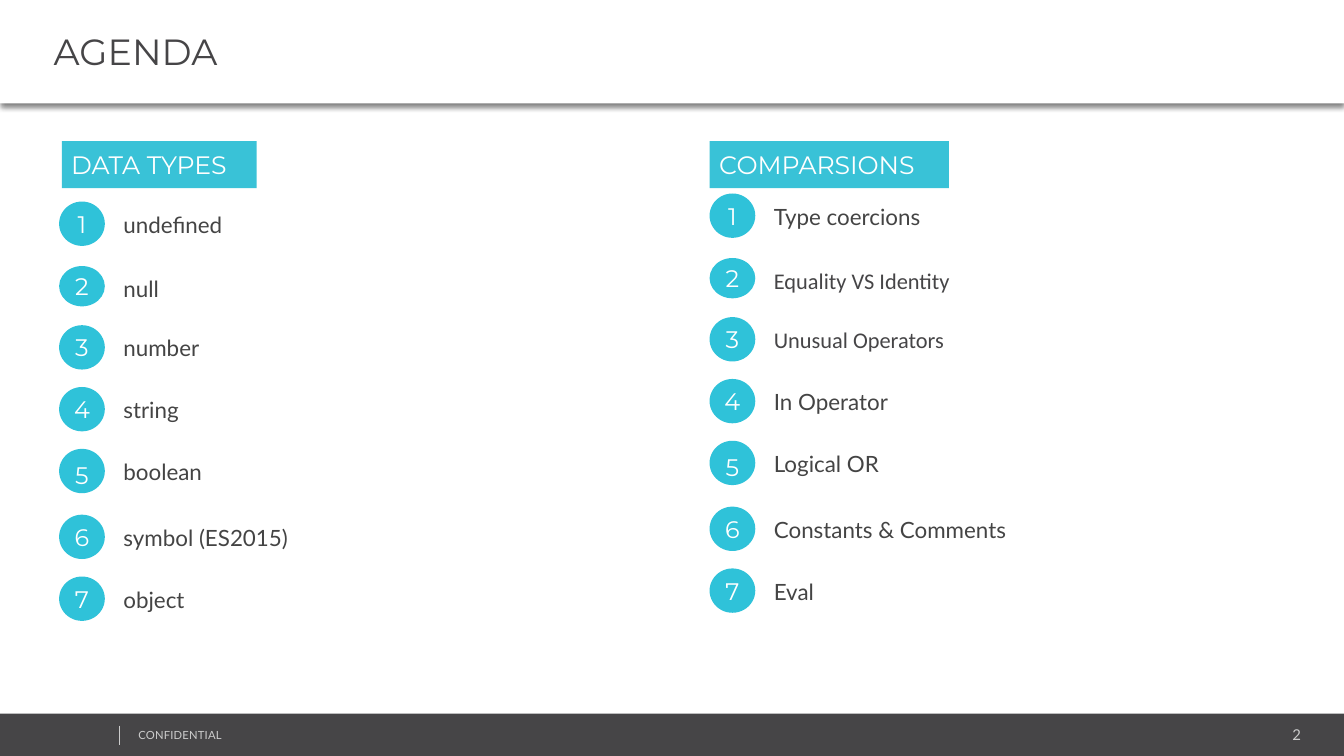
from lxml import etree
from pptx import Presentation
from pptx.dml.color import RGBColor
from pptx.enum.shapes import MSO_CONNECTOR, MSO_SHAPE
from pptx.enum.text import MSO_ANCHOR, PP_ALIGN
from pptx.oxml.ns import qn
from pptx.util import Inches, Pt

SLIDE_W = 10
SLIDE_H = SLIDE_W * 9 / 16
DARK, TEXT, PALE, WHITE = "464547", "444444", "CCCCCC", "FFFFFF"
BANNER, BADGE = "39C2D7", "2FC2D9"

ROW_OFFSETS = (0, 0.48, 0.92, 1.38, 1.84, 2.33, 2.79)
LABEL_OFFSET = 0.38
BADGE_W, BADGE_H, SHORT_BADGE_H = 0.34, 0.33, 0.3

DATA_TYPES = ("undefined", "null", "number", "string", "boolean",
              "symbol (ES2015)", "object")
COMPARISONS = ("Type coercions", "Equality VS Identity", "Unusual Operators",
               "In Operator", "Logical OR", "Constants & Comments", "Eval")
CALIBRI_LABELS = {"Equality VS Identity", "Unusual Operators"}


def rgb(color):
    return RGBColor.from_string(color)


def add_filled(slide, preset, box, color):
    shape = slide.shapes.add_shape(preset, *map(Inches, box))
    shape.shadow.inherit = False
    shape.fill.solid()
    shape.fill.fore_color.rgb = rgb(color)
    shape.line.fill.background()
    return shape


def write(shape, text, size, font, color, insets=(0.1, 0.05, 0.1, 0.05),
          align=PP_ALIGN.LEFT, anchor=MSO_ANCHOR.MIDDLE, wrap=True):
    """Put one line of text in a shape; insets are left, top, right, bottom."""
    frame = shape.text_frame
    left, top, right, bottom = map(Inches, insets)
    frame_format = {"margin_left": left, "margin_top": top,
                    "margin_right": right, "margin_bottom": bottom,
                    "vertical_anchor": anchor, "word_wrap": wrap}
    for name, value in frame_format.items():
        setattr(frame, name, value)
    paragraph = frame.paragraphs[0]
    paragraph.alignment = align
    run = paragraph.add_run()
    run.text = text
    for name, value in {"size": Pt(size), "name": font}.items():
        setattr(run.font, name, value)
    run.font.color.rgb = rgb(color)
    return run


def add_text(slide, box, *args, **formats):
    textbox = slide.shapes.add_textbox(*map(Inches, box))
    return write(textbox, *args, anchor=MSO_ANCHOR.TOP, **formats)


def add_drop_shadow(shape, blur, distance, opacity):
    """Cast a black shadow straight down; opacity is a percentage."""
    effects = shape._element.spPr.find(qn("a:effectLst"))
    shadow = etree.SubElement(
        effects, qn("a:outerShdw"), blurRad=str(Pt(blur)),
        dist=str(Pt(distance)), dir="5400000", algn="t", rotWithShape="0")
    black = etree.SubElement(shadow, qn("a:srgbClr"), val="000000")
    etree.SubElement(black, qn("a:alpha"), val=str(opacity * 1000))


def add_title_bar(slide, box, title):
    """Stack two shadowed bars, the front one with the title."""
    left, top, width, height = box
    for bar_height in (height - 0.01, height):
        bar = add_filled(slide, MSO_SHAPE.RECTANGLE,
                         (left, top, width, bar_height), WHITE)
        add_drop_shadow(bar, blur=3.1, distance=2, opacity=30)
    write(bar, title, 19.5, "Montserrat", DARK, insets=(0.4, 0.04, 0.1, 0.05))


def add_footer(slide, box, note, number):
    left, top, width, height = box
    add_filled(slide, MSO_SHAPE.RECTANGLE, box, DARK)
    insets = (0.07, 0.04, 0.07, 0.04)
    add_text(slide, (left + width - 1.88, top + 0.05, 1.63, 0.21), number,
             8, "Lato", PALE, insets=insets, align=PP_ALIGN.RIGHT)
    note_run = add_text(slide, (left + 0.96, top + 0.07, 2.53, 0.18), note,
                        6, "Lato", PALE, insets=insets)
    note_run.font._element.set("spc", "10")
    divider = slide.shapes.add_connector(
        MSO_CONNECTOR.STRAIGHT, Inches(left + 0.89), Inches(top + 0.09),
        Inches(left + 0.89), Inches(top + 0.23))
    divider.line.color.rgb = rgb(PALE)
    divider.line.width = Pt(0.25)
    etree.SubElement(divider._element.spPr, qn("a:effectLst"))


def add_heading(slide, box, heading):
    banner = add_filled(slide, MSO_SHAPE.RECTANGLE, box, BANNER)
    write(banner, heading, 13.5, "Montserrat", WHITE,
          insets=(0.07, 0.06, 0.07, 0.06))


def add_numbered_list(slide, box, topics):
    left, top, width = box
    for number, (offset, topic) in enumerate(zip(ROW_OFFSETS, topics), 1):
        row_top = top + offset
        badge_h = SHORT_BADGE_H if number == 2 else BADGE_H
        badge = add_filled(slide, MSO_SHAPE.OVAL,
                           (left, row_top, BADGE_W, badge_h), BADGE)
        digit_drop = 0.06 if number == 5 else 0
        write(badge, str(number), 12.8, "Montserrat", WHITE,
              insets=(0, digit_drop, 0, 0), align=PP_ALIGN.CENTER, wrap=False)
        is_calibri = topic in CALIBRI_LABELS
        add_text(slide, (left + LABEL_OFFSET, row_top + 0.02, width, 0.3),
                 topic, 12, "Calibri" if is_calibri else "Lato",
                 DARK if is_calibri else TEXT)


def main():
    deck = Presentation()
    deck.slide_width, deck.slide_height = Inches(SLIDE_W), Inches(SLIDE_H)
    slide = deck.slides.add_slide(deck.slide_layouts[6])
    add_footer(slide, (0, 5.31, SLIDE_W, 0.33), "CONFIDENTIAL", "2")
    add_title_bar(slide, (0, 0, SLIDE_W, 0.77), "AGENDA")
    add_heading(slide, (0.46, 1.05, 1.45, 0.35), "DATA TYPES")
    add_numbered_list(slide, (0.44, 1.5, 4.2), DATA_TYPES)
    add_heading(slide, (5.28, 1.05, 1.78, 0.35), "COMPARSIONS")
    add_numbered_list(slide, (5.28, 1.44, 4.2), COMPARISONS)
    deck.save("out.pptx")


if __name__ == "__main__":
    main()
